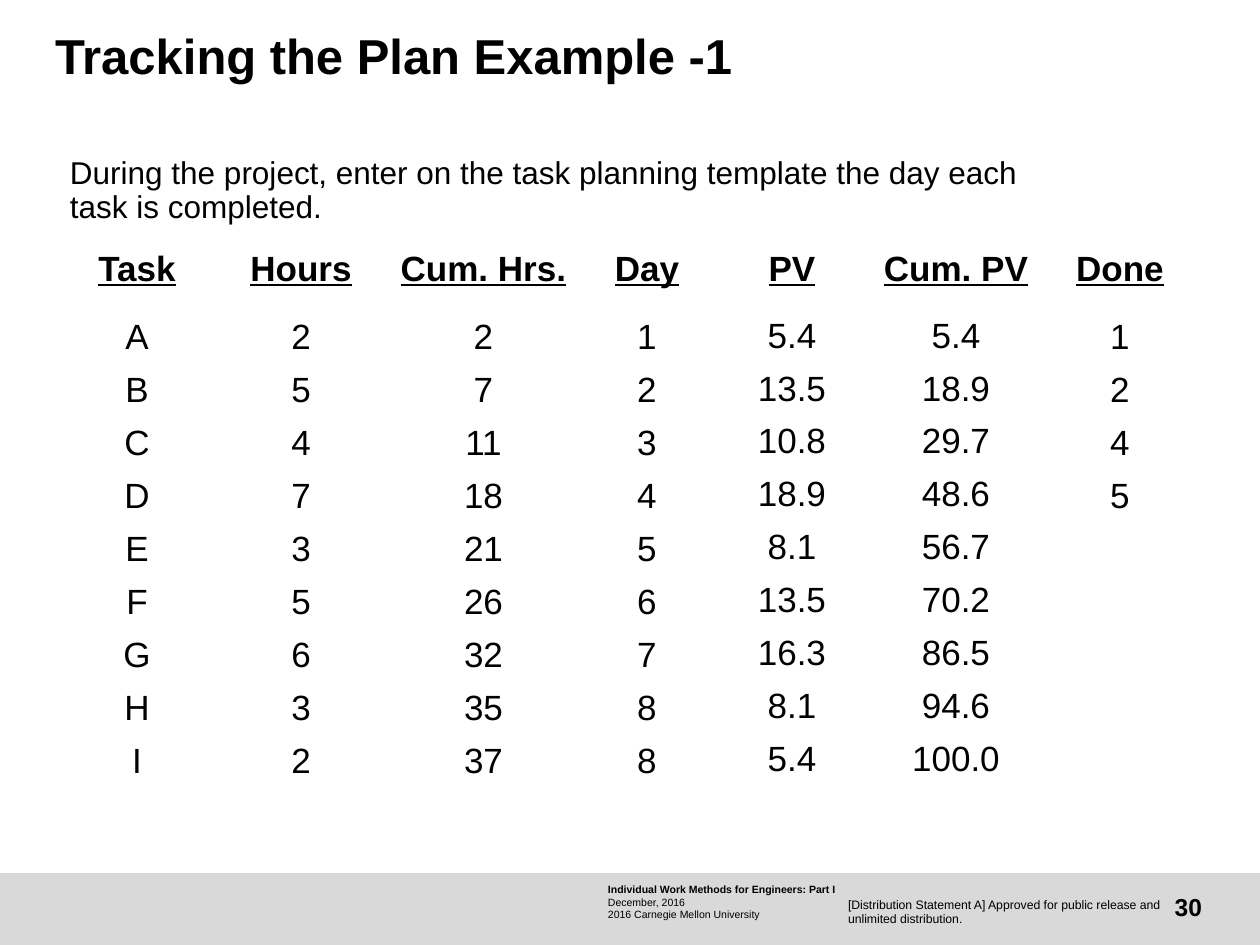
from dataclasses import dataclass

from lxml import etree
from pptx import Presentation
from pptx.dml.color import RGBColor
from pptx.enum import shapes, text
from pptx.oxml import ns
from pptx.util import Emu, Pt

EMU_PER_PX = 914400 / 126
BLACK = RGBColor(0x00, 0x00, 0x00)
FOOTER_GREY = RGBColor(0xD9, 0xD9, 0xD9)
FONT = "Arial"
LEFT, CENTER, RIGHT = text.PP_ALIGN.LEFT, text.PP_ALIGN.CENTER, text.PP_ALIGN.RIGHT
TOP, MIDDLE = text.MSO_ANCHOR.TOP, text.MSO_ANCHOR.MIDDLE


@dataclass(frozen=True)
class Area:
    left: int
    top: int
    width: int
    height: int

    def emu(self) -> tuple[Emu, ...]:
        return tuple(px(n) for n in (self.left, self.top, self.width, self.height))


@dataclass(frozen=True)
class Style:
    size: int
    bold: bool = False
    underline: bool = False
    align: text.PP_ALIGN = LEFT
    spacing: float = 1.0


@dataclass(frozen=True)
class Line:
    words: str
    style: Style


@dataclass(frozen=True)
class TextBlock:
    area: Area
    lines: tuple[Line, ...]
    margins: tuple[int, int, int, int] = (0, 0, 0, 0)
    anchor: text.MSO_ANCHOR = TOP
    hanging: int = 0


@dataclass(frozen=True)
class Column:
    heading: str
    width: int
    values: tuple[str, ...]
    spacing: float = 1.0


TITLE = TextBlock(
    Area(55, 32, 1047, 92),
    (Line("Tracking the Plan Example -1", Style(28, bold=True, spacing=0.9)),),
)
TEXT_BLOCKS = (
    TextBlock(
        Area(608, 883, 278, 38),
        (
            Line("Individual Work Methods for Engineers: Part I", Style(6, bold=True)),
            Line("December, 2016", Style(6)),
            Line("2016 Carnegie Mellon University", Style(6)),
        ),
        margins=(0, 0, 6, 0),
    ),
    TextBlock(
        Area(1131, 882, 71, 50),
        (Line("30", Style(14, bold=True, align=RIGHT)),),
        anchor=MIDDLE,
    ),
    TextBlock(
        Area(848, 897, 320, 30),
        (
            Line(
                "[Distribution Statement A] Approved for public release and "
                "unlimited distribution.",
                Style(7),
            ),
        ),
    ),
    TextBlock(
        Area(37, 149, 1042, 92),
        (
            Line(
                "During the project, enter on the task planning template "
                "the day each task is completed.",
                Style(18, spacing=0.9),
            ),
        ),
        margins=(15, 8, 15, 8),
        hanging=18,
    ),
)
COLUMNS = (
    Column("Task", 164, tuple("ABCDEFGHI")),
    Column("Hours", 164, tuple("254735632")),
    Column("Cum. Hrs.", 201, ("2", "7", "11", "18", "21", "26", "32", "35", "37")),
    Column("Day", 126, tuple("123456788")),
    Column(
        "PV", 164,
        ("5.4", "13.5", "10.8", "18.9", "8.1", "13.5", "16.3", "8.1", "5.4"), 0.9,
    ),
    Column(
        "Cum. PV", 164,
        ("5.4", "18.9", "29.7", "48.6", "56.7", "70.2", "86.5", "94.6", "100.0"), 0.9,
    ),
    Column("Done", 164, tuple("1245")),
)
TASK_COUNT = 9
HEADING_HEIGHT = 84
ROW_HEIGHT = 53
TABLE_AREA = Area(
    55, 227, sum(column.width for column in COLUMNS),
    HEADING_HEIGHT + TASK_COUNT * ROW_HEIGHT,
)


def px(length: int) -> Emu:
    return Emu(round(length * EMU_PER_PX))


def set_margins(holder, margins: tuple[int, int, int, int]) -> None:
    holder.margin_left, holder.margin_top, holder.margin_right, holder.margin_bottom = (
        px(margin) for margin in margins
    )


def add_hanging_bullet(para, indent: int) -> None:
    properties = para._p.get_or_add_pPr()
    properties.set("marL", str(px(indent)))
    properties.set("indent", str(-px(indent)))
    etree.SubElement(properties, ns.qn("a:buChar"), char=" ")


def write_line(para, line: Line) -> None:
    style = line.style
    para.alignment = style.align
    para.line_spacing = style.spacing
    para.space_before = para.space_after = Pt(0)
    span = para.add_run()
    span.text = line.words
    span.font.name = FONT
    span.font.size = Pt(style.size)
    span.font.bold = style.bold
    span.font.underline = style.underline
    span.font.color.rgb = BLACK


def fill_text(box, block: TextBlock) -> None:
    box.left, box.top, box.width, box.height = block.area.emu()
    frame = box.text_frame
    frame.word_wrap = True
    frame.auto_size = text.MSO_AUTO_SIZE.NONE
    frame.vertical_anchor = block.anchor
    set_margins(frame, block.margins)
    for index, line in enumerate(block.lines):
        para = frame.add_paragraph() if index else frame.paragraphs[0]
        if block.hanging:
            add_hanging_bullet(para, block.hanging)
        write_line(para, line)


def add_footer_band(page) -> None:
    band = page.shapes.add_shape(
        shapes.MSO_SHAPE.RECTANGLE, *Area(0, 873, 1260, 72).emu()
    )
    band.shadow.inherit = False
    band.fill.solid()
    band.fill.fore_color.rgb = FOOTER_GREY
    band.line.fill.background()


def add_plan_table(page) -> None:
    table = page.shapes.add_table(
        TASK_COUNT + 1, len(COLUMNS), *TABLE_AREA.emu()
    ).table
    table.first_row = table.horz_banding = False
    for index, row in enumerate(table.rows):
        row.height = px(ROW_HEIGHT if index else HEADING_HEIGHT)
    for column_index, column in enumerate(COLUMNS):
        table.columns[column_index].width = px(column.width)
        heading = Line(column.heading, Style(20, True, True, CENTER))
        value_style = Style(20, align=CENTER, spacing=column.spacing)
        lines = [heading] + [Line(value, value_style) for value in column.values]
        for row_index in range(TASK_COUNT + 1):
            cell = table.cell(row_index, column_index)
            cell.fill.background()
            cell.vertical_anchor = MIDDLE
            set_margins(cell, (0, 0, 0, 0))
            if row_index < len(lines):
                write_line(cell.text_frame.paragraphs[0], lines[row_index])


def main() -> None:
    deck = Presentation()
    deck.slide_width, deck.slide_height = px(1260), px(945)
    page = deck.slides.add_slide(deck.slide_layouts[5])
    add_footer_band(page)
    for block in TEXT_BLOCKS:
        fill_text(page.shapes.add_textbox(*block.area.emu()), block)
    fill_text(page.shapes.title, TITLE)
    add_plan_table(page)
    deck.save("out.pptx")


if __name__ == "__main__":
    main()
